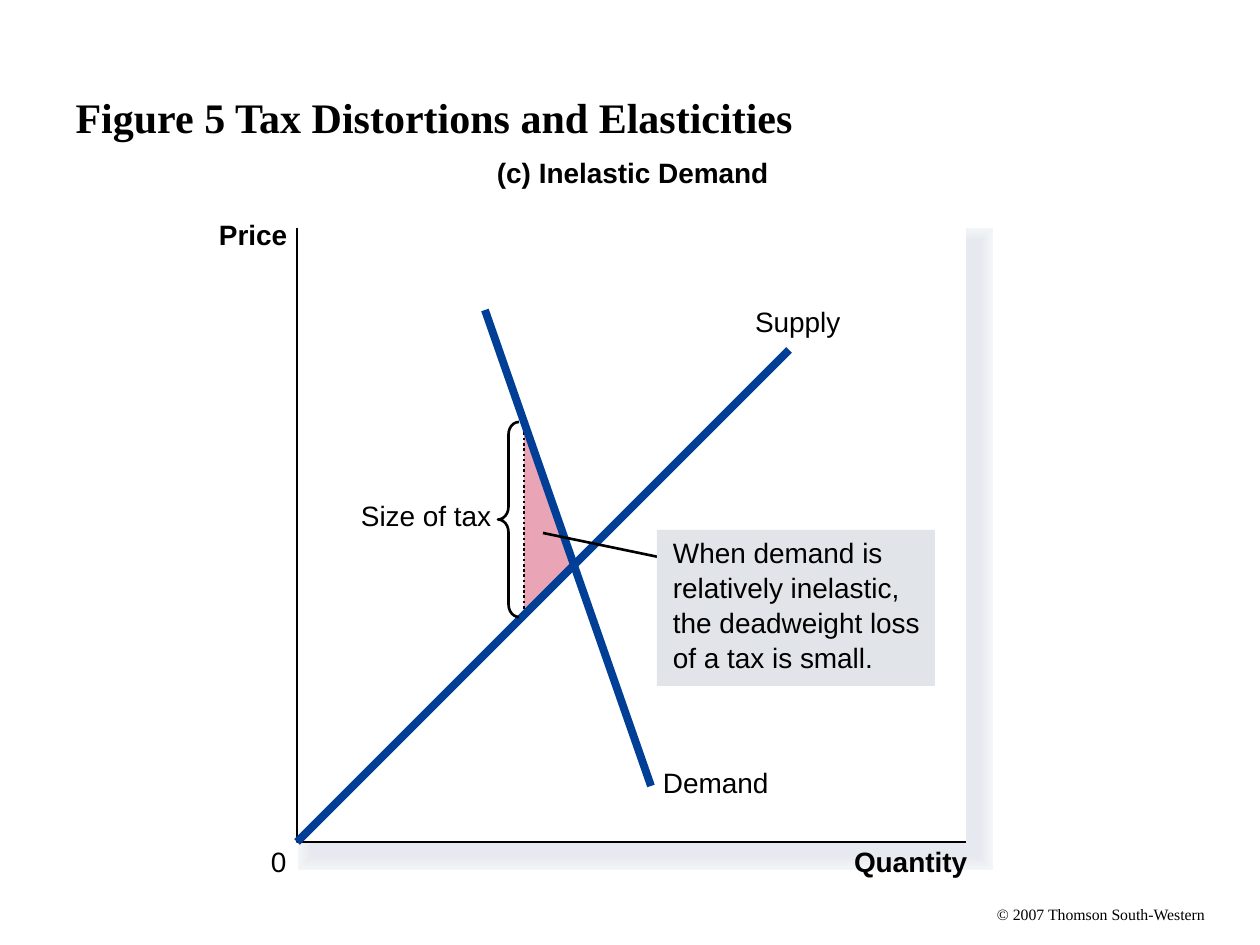
from lxml.etree import SubElement
from pptx import Presentation
from pptx.dml.color import RGBColor
from pptx.enum.dml import MSO_LINE_DASH_STYLE as DASH
from pptx.enum.shapes import MSO_CONNECTOR, MSO_SHAPE
from pptx.enum.text import MSO_ANCHOR, PP_ALIGN
from pptx.oxml.ns import qn
from pptx.util import Pt

PX = 914400 / 126
BLACK, WHITE, CURVE_BLUE = "000000", "FFFFFF", "003F95"


def emu(*lengths):
    return [round(length * PX) for length in lengths]


def paint(color_format, color):
    color_format.rgb = RGBColor.from_string(color)


presentation = Presentation()
presentation.slide_width, presentation.slide_height = emu(1260, 945)
slide = presentation.slides.add_slide(presentation.slide_layouts[5])
shapes = slide.shapes

# Title
title = shapes.title
title.left, title.top, title.width, title.height = emu(63, 38, 1134, 158)
title.text_frame.vertical_anchor = MSO_ANCHOR.MIDDLE
paragraph = title.text_frame.paragraphs[0]
paragraph.alignment = PP_ALIGN.LEFT
run = paragraph.add_run()
run.text = "Figure 5 Tax Distortions and Elasticities"
run.font.name, run.font.size, run.font.bold = "Times New Roman", Pt(24), True
paint(run.font.color, BLACK)

# Soft shadow: stacked rectangles whose outlines get thinner and darker
shadow_colors = ["F3F6F9", "F2F4F8", "F1F4F7", "F0F2F5", "EEF1F4", "EDEFF3",
                 "EBEEF2", "EAECF1", "E9EBF0", "E7EAEF", "E6E9EF"]
for step, color in enumerate(shadow_colors):
    layer = shapes.add_shape(MSO_SHAPE.RECTANGLE, *emu(312, 242, 667, 614))
    layer.shadow.inherit = False
    layer.fill.solid()
    paint(layer.fill.fore_color, color)
    paint(layer.line.color, color)
    layer.line.width = Pt(1.5 * (len(shadow_colors) - step))
    SubElement(layer._element.spPr.find(qn("a:ln")), qn("a:miter"), lim="800000")

plot_area = shapes.add_shape(MSO_SHAPE.RECTANGLE, *emu(297, 228, 669, 614))
plot_area.shadow.inherit = False
plot_area.fill.solid()
paint(plot_area.fill.fore_color, WHITE)
plot_area.line.fill.background()

# Deadweight loss
builder = shapes.build_freeform(524, 615, scale=PX)
builder.add_line_segments([(524, 422), (575, 564)], close=True)
deadweight_loss = builder.convert_to_shape()
deadweight_loss.shadow.inherit = False
deadweight_loss.fill.solid()
paint(deadweight_loss.fill.fore_color, "E9A5B5")
deadweight_loss.line.fill.background()

# Axes
builder = shapes.build_freeform(297, 228, scale=PX)
builder.add_line_segments([(297, 842), (966, 842)], close=False)
axes = builder.convert_to_shape()
axes.shadow.inherit = False
axes.fill.background()
paint(axes.line.color, BLACK)
axes.line.width = Pt(1.5)

# Tax wedge, demand, supply and callout pointer
lines = [
    ((524, 422, 524, 615), BLACK, 1.5, DASH.ROUND_DOT),
    ((651, 786, 485, 310), CURVE_BLUE, 4.5, None),
    ((789, 350, 297, 842), CURVE_BLUE, 4.5, None),
    ((668, 559, 543, 533), BLACK, 1.5, None),
]
for ends, color, width, dash in lines:
    line = shapes.add_connector(MSO_CONNECTOR.STRAIGHT, *emu(*ends))
    SubElement(line._element.spPr, qn("a:effectLst"))
    paint(line.line.color, color)
    line.line.width = Pt(width)
    if dash:
        line.line.dash_style = dash

brace = shapes.add_shape(MSO_SHAPE.LEFT_BRACE, *emu(498, 422, 21, 195))
brace.shadow.inherit = False
brace.adjustments[0] = 0.6
brace.fill.background()
paint(brace.line.color, BLACK)
brace.line.width = Pt(1.5)

# Callout
callout = shapes.add_shape(MSO_SHAPE.RECTANGLE, *emu(657, 530, 278, 156))
callout.shadow.inherit = False
callout.fill.solid()
paint(callout.fill.fore_color, "E1E5E9")
callout.line.fill.background()
frame = callout.text_frame
frame.word_wrap = True
frame.vertical_anchor = MSO_ANCHOR.TOP
frame.margin_left, frame.margin_top, frame.margin_right, frame.margin_bottom = emu(16, 4, 0, 0)
paragraph = frame.paragraphs[0]
paragraph.alignment = PP_ALIGN.LEFT
paragraph.line_spacing = Pt(20)
run = paragraph.add_run()
run.text = "When demand is relatively inelastic, the deadweight loss of a tax is small."
run.font.name, run.font.size = "Arial", Pt(16)
paint(run.font.color, BLACK)

# Labels
labels = [
    ("(c) Inelastic Demand", (497, 156, 280, 34), "Arial", 16, True),
    ("Price", (219, 218, 76, 34), "Arial", 16, True),
    ("Quantity", (854, 845, 122, 34), "Arial", 16, True),
    ("0", (271, 845, 20, 34), "Arial", 16, False),
    ("Supply", (755, 305, 92, 34), "Arial", 16, False),
    ("Demand", (663, 766, 112, 34), "Arial", 16, False),
    ("Size of tax", (361, 499, 136, 34), "Arial", 16, False),
    ("© 2007 Thomson South-Western", (997, 905, 216, 19), "Times New Roman", 9, False),
]
for text, box, font, size, bold in labels:
    label = shapes.add_textbox(*emu(*box))
    frame = label.text_frame
    frame.word_wrap = True
    frame.margin_left = frame.margin_top = frame.margin_right = frame.margin_bottom = 0
    run = frame.paragraphs[0].add_run()
    run.text = text
    run.font.name, run.font.size, run.font.bold = font, Pt(size), bold
    paint(run.font.color, BLACK)

presentation.save("out.pptx")
